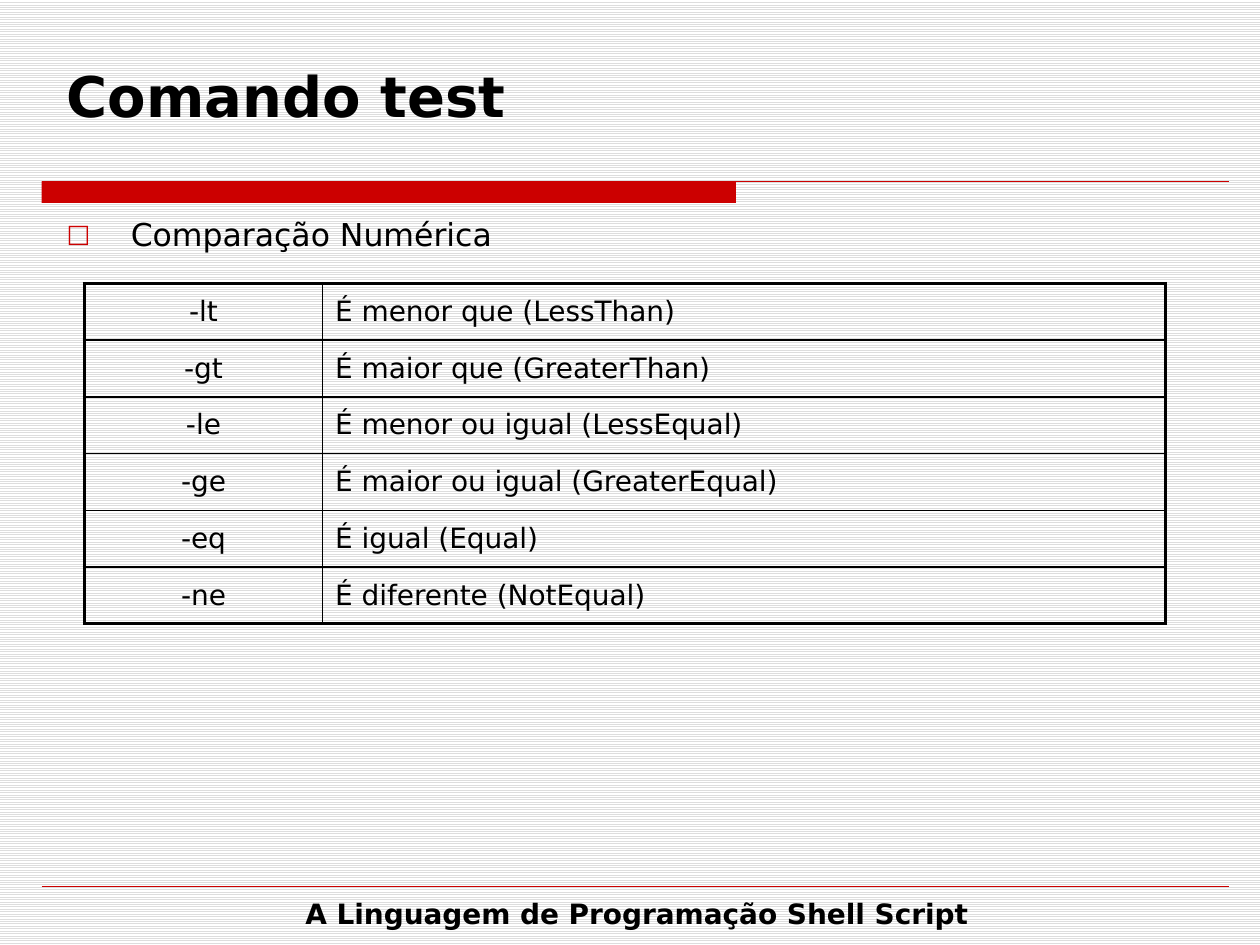
from dataclasses import dataclass

from lxml.etree import SubElement
from pptx import Presentation
from pptx.dml.color import RGBColor
from pptx.enum.dml import MSO_PATTERN
from pptx.enum.shapes import MSO_CONNECTOR, MSO_SHAPE
from pptx.enum.text import MSO_ANCHOR, PP_ALIGN
from pptx.oxml.ns import qn
from pptx.util import Inches, Pt


@dataclass(frozen=True)
class Theme:
    font: str = "DejaVu Sans"
    ink: str = "000000"
    accent: str = "CC0000"
    stripe: str = "DDDDDD"
    paper: str = "FFFFFF"
    title_size: float = 32
    topic_size: float = 18
    text_size: float = 16
    outer_border: float = 2.25
    inner_border: float = 1


THEME = Theme()
OPERATORS = [
    ("-lt", "É menor que (LessThan)"),
    ("-gt", "É maior que (GreaterThan)"),
    ("-le", "É menor ou igual (LessEqual)"),
    ("-ge", "É maior ou igual (GreaterEqual)"),
    ("-eq", "É igual (Equal)"),
    ("-ne", "É diferente (NotEqual)"),
]


def color(code):
    return RGBColor.from_string(code)


def write(frame, text, size, align, bold=False, before=0):
    frame.word_wrap = True
    paragraph = frame.paragraphs[0]
    for name, value in {"alignment": align, "space_before": Pt(before)}.items():
        setattr(paragraph, name, value)
    run = paragraph.add_run()
    run.text = text
    for name, value in {"name": THEME.font, "size": Pt(size), "bold": bold}.items():
        setattr(run.font, name, value)
    run.font.color.rgb = color(THEME.ink)
    return paragraph


def add_rule(slide, left, top, width, weight):
    rule = slide.shapes.add_connector(
        MSO_CONNECTOR.STRAIGHT, left, top, left + width, top)
    rule.line.color.rgb = color(THEME.accent)
    rule.line.width = Pt(weight)
    SubElement(rule._element.spPr, qn("a:effectLst"))


def paint_background(slide):
    fill = slide.background.fill
    fill.patterned()
    fill.pattern = MSO_PATTERN.LIGHT_HORIZONTAL
    fill.fore_color.rgb = color(THEME.stripe)
    fill.back_color.rgb = color(THEME.paper)


def add_heading_bar(slide, left, top, width, height):
    bar = slide.shapes.add_shape(
        MSO_SHAPE.RECTANGLE, left, top, Inches(5.51), height)
    bar.shadow.inherit = False
    bar.fill.solid()
    bar.fill.fore_color.rgb = color(THEME.accent)
    bar.line.fill.background()
    add_rule(slide, left, top, width, 0.75)


def place_title(slide, left, top, width, height):
    title = slide.shapes.title
    box = {"left": left, "top": top, "width": width, "height": height}
    for name, value in box.items():
        setattr(title, name, value)
    title.text_frame.vertical_anchor = MSO_ANCHOR.MIDDLE
    write(title.text_frame, "Comando test", THEME.title_size, PP_ALIGN.LEFT, bold=True)


def add_topic(slide, left, top, width, height):
    topic = slide.shapes.add_textbox(left, top, width, height)
    paragraph = write(topic.text_frame, "Comparação Numérica", THEME.topic_size,
                      PP_ALIGN.JUSTIFY, before=THEME.topic_size * 0.2)
    # Hanging square bullet
    properties = paragraph._p.get_or_add_pPr()
    indent = Inches(0.51)
    properties.set("marL", str(indent))
    properties.set("indent", str(-indent))
    bullet_color = SubElement(properties, qn("a:buClr"))
    SubElement(bullet_color, qn("a:srgbClr"), val=THEME.accent)
    SubElement(properties, qn("a:buSzPct"), val="80000")
    SubElement(properties, qn("a:buFont"), typeface=THEME.font)
    SubElement(properties, qn("a:buChar"), char="□")


def set_borders(cell, outer_sides):
    properties = cell._tc.get_or_add_tcPr()
    for side in "LRTB":
        weight = THEME.outer_border if side in outer_sides else THEME.inner_border
        border = SubElement(properties, qn(f"a:ln{side}"), w=str(Pt(weight)))
        fill = SubElement(border, qn("a:solidFill"))
        SubElement(fill, qn("a:srgbClr"), val=THEME.ink)


def add_operator_table(slide, left, top, width, height):
    table = slide.shapes.add_table(
        len(OPERATORS), 2, left, top, width, height).table
    table.first_row = table.horz_banding = False
    option_width = Inches(1.89)
    table.columns[0].width = option_width
    table.columns[1].width = width - option_width
    last = len(OPERATORS) - 1
    for row, texts in enumerate(OPERATORS):
        for column, text in enumerate(texts):
            cell = table.cell(row, column)
            cell.vertical_anchor = MSO_ANCHOR.MIDDLE
            set_borders(cell, "LR"[column] + {0: "T", last: "B"}.get(row, ""))
            cell.fill.background()
            write(cell.text_frame, text, THEME.text_size,
                  (PP_ALIGN.CENTER, PP_ALIGN.JUSTIFY)[column],
                  before=THEME.text_size * 0.2)


def add_footer(slide, left, top, width, height):
    footer = slide.shapes.add_textbox(left, top, width, height)
    footer.text_frame.vertical_anchor = MSO_ANCHOR.MIDDLE
    write(footer.text_frame, "A Linguagem de Programação Shell Script",
          THEME.text_size, PP_ALIGN.CENTER, bold=True)


def main():
    deck = Presentation()
    deck.slide_width, deck.slide_height = Inches(10), Inches(7.5)
    slide = deck.slides.add_slide(deck.slide_layouts[5])
    paint_background(slide)

    # Heading
    rule_left, rule_width = Inches(0.33), Inches(9.42)
    add_heading_bar(slide, rule_left, Inches(1.44), rule_width, Inches(0.17))
    place_title(slide, Inches(0.43), Inches(0.17), Inches(9.23), Inches(1.17))

    # Content
    add_topic(slide, Inches(0.43), Inches(1.66), Inches(9.24), Inches(5.26))
    add_operator_table(slide, Inches(0.67), Inches(2.25), Inches(8.58), Inches(2.7))

    # Footer
    add_rule(slide, rule_left, Inches(7.03), rule_width, 0.25)
    add_footer(slide, Inches(0.42), Inches(7.1), Inches(9.27), Inches(0.29))

    deck.save("out.pptx")


if __name__ == "__main__":
    main()
